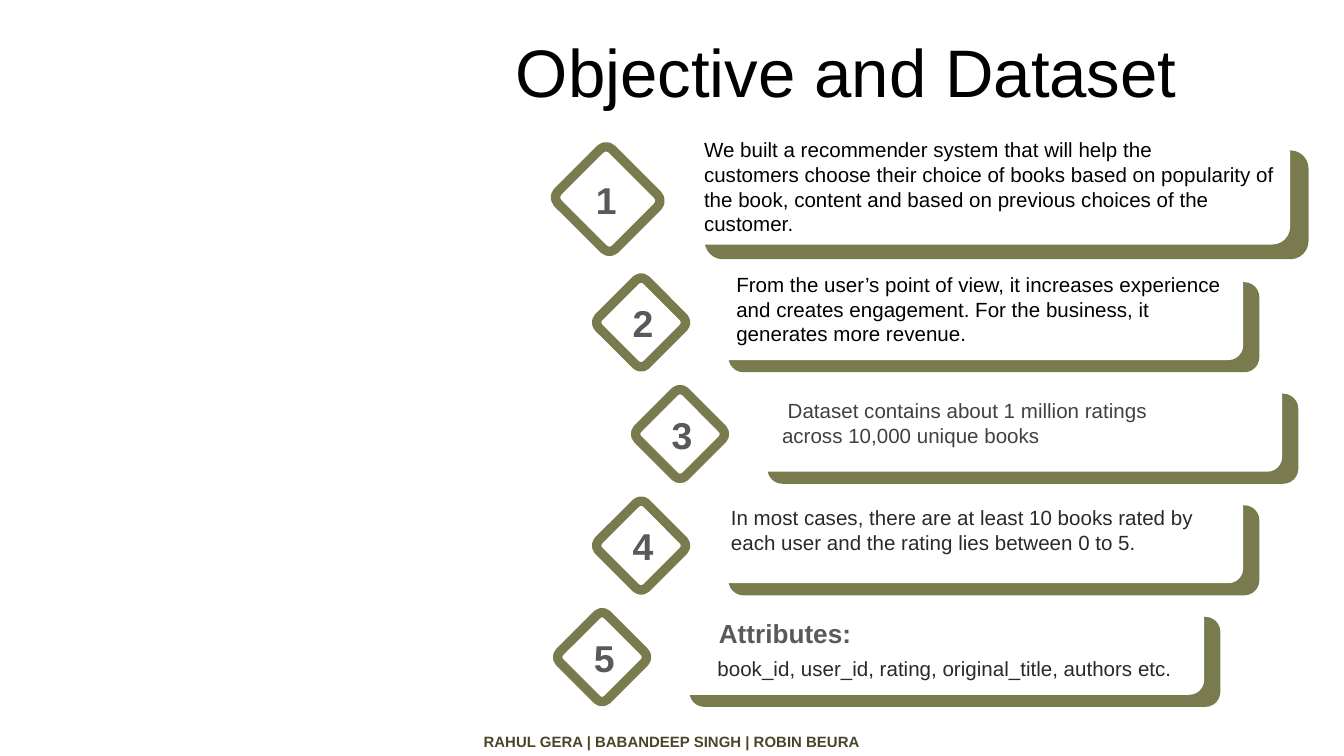
from lxml import etree
from pptx import Presentation
from pptx.dml.color import RGBColor
from pptx.enum import shapes, text
from pptx.oxml import ns
from pptx.util import Inches, Pt

OLIVE = RGBColor(0x79, 0x7B, 0x4F)
WHITE = RGBColor(0xFF, 0xFF, 0xFF)
CARD_EDGE = RGBColor(0xE9, 0xEA, 0xE4)
BLACK = RGBColor(0x00, 0x00, 0x00)
GRAY = RGBColor(0x59, 0x59, 0x59)
DARK_GRAY = RGBColor(0x40, 0x40, 0x40)
CHARCOAL = RGBColor(0x29, 0x29, 0x29)
BROWN = RGBColor(0x4A, 0x45, 0x2A)

LEFT, CENTER = text.PP_ALIGN.LEFT, text.PP_ALIGN.CENTER
MIDDLE, TOP = text.MSO_ANCHOR.MIDDLE, text.MSO_ANCHOR.TOP
FIT, FIXED = text.MSO_AUTO_SIZE.SHAPE_TO_FIT_TEXT, text.MSO_AUTO_SIZE.NONE

# Standard row size; larger rows scale from it
ROW_WIDTH, ROW_HEIGHT = 4.73, 0.67
ROW_PITCH, ROW_STEP = 0.83, 0.29


def add_text(slide, box, lines, size, color, bold=False, align=LEFT,
             anchor=MIDDLE, auto_size=FIT):
    shape = slide.shapes.add_textbox(*map(Inches, box))
    frame = shape.text_frame
    frame_format = {"word_wrap": True, "auto_size": auto_size,
                    "vertical_anchor": anchor}
    for name, value in frame_format.items():
        setattr(frame, name, value)
    font_format = {"name": "Arial", "size": Pt(size), "bold": bold}
    for index, line in enumerate(lines):
        paragraph = frame.add_paragraph() if index else frame.paragraphs[0]
        paragraph.alignment = align
        run = paragraph.add_run()
        run.text = line
        for name, value in font_format.items():
            setattr(run.font, name, value)
        run.font.color.rgb = color


def add_rounded(slide, box, fill, line=None, line_width=0):
    shape = slide.shapes.add_shape(shapes.MSO_SHAPE.ROUNDED_RECTANGLE,
                                   *map(Inches, box))
    shape.shadow.inherit = False
    shape.fill.solid()
    shape.fill.fore_color.rgb = fill
    if line is None:
        shape.line.fill.background()
    else:
        shape.line.color.rgb = line
        shape.line.width = Pt(line_width)
    return shape


def make_line_clear(shape):
    color = shape.line._get_or_add_ln().find(".//" + ns.qn("a:srgbClr"))
    etree.SubElement(color, ns.qn("a:alpha"), val="0")


def add_row(slide, box, number, texts):
    """Numbered diamond beside a card; text boxes are offset from the row."""
    left, top, width, height = box
    scale_x, scale_y = width / ROW_WIDTH, height / ROW_HEIGHT

    # Card with its offset backing
    card_left, card_width = left + 0.78 * scale_x, 3.95 * scale_x
    add_rounded(slide, (card_left + 0.12 * scale_x, top + 0.09 * scale_y,
                        card_width, height), OLIVE)
    card = add_rounded(slide, (card_left, top, card_width, height),
                       WHITE, CARD_EDGE, 1.25)
    make_line_clear(card)

    # Card text
    for (dx, dy, text_width, text_height), lines, size, color, bold in texts:
        add_text(slide, (left + dx, top + dy, text_width, text_height),
                 lines, size, color, bold)

    # Diamond and number; the quarter-turned sides swap their scales
    diamond_width, diamond_height = 0.5 * scale_y, 0.5 * scale_x
    diamond_top = top + 0.39 * scale_y - diamond_height / 2
    diamond = add_rounded(slide, (left, diamond_top,
                                  diamond_width, diamond_height),
                          WHITE, OLIVE, 5)
    diamond.adjustments[0] = 0.107
    diamond.rotation = 45
    add_text(slide, (left + 0.09 * scale_x, top + 0.17 * scale_y,
                     0.33 * scale_x, 0.44 * scale_y),
             [str(number)], 20, GRAY, True, CENTER)


def add_rows(slide, left, top):
    rows = [
        [((0.92, -0.04, 4.57, 0.84),
          ["We built a recommender system that will help the",
           "customers choose their choice of books based on popularity of "
           "the book, content and based on previous choices of the customer."],
          11, BLACK, False)],
        [((0.86, -0.04, 3.89, 0.66),
          ["From the user’s point of view, it increases experience and "
           "creates engagement. For the business, it",
           "generates more revenue."], 11, BLACK, False)],
        [((0.91, 0.07, 3.31, 0.47),
          [" Dataset contains about 1 million ratings across 10,000 "
           "unique books"], 11, DARK_GRAY, False)],
        [((0.82, 0.04, 3.83, 0.47),
          ["In most cases, there are at least 10 books rated by",
           "each user and the rating lies between 0 to 5."],
          11, CHARCOAL, False)],
        [((1.02, 0.04, 3.31, 0.34), ["Attributes:"], 14, GRAY, True),
         ((1.01, 0.33, 3.7, 0.29),
          ["book_id, user_id, rating, original_title, authors etc."],
          11, CHARCOAL, False)],
    ]
    # The first row is larger; the others step out to row 3 and back
    add_row(slide, (left, top, 5.38, 0.81), 1, rows[0])
    for index, texts in enumerate(rows[1:]):
        row_left = left + 0.01 + ROW_STEP * (2 - abs(index - 1))
        add_row(slide, (row_left, top + 1 + ROW_PITCH * index,
                        ROW_WIDTH, ROW_HEIGHT), index + 2, texts)


def main():
    presentation = Presentation()
    # Widescreen, 16:9
    presentation.slide_width = Inches(10)
    presentation.slide_height = Inches(10 * 9 / 16)
    slide = presentation.slides.add_slide(presentation.slide_layouts[6])

    # Title
    add_text(slide, (3.74, 0.21, 6.26, 0.63), ["Objective and Dataset"],
             36, BLACK, auto_size=FIXED)
    # Numbered rows
    add_rows(slide, 4.22, 1.01)
    # Footer
    add_text(slide, (0, 5.4, 10, 0.24),
             ["RAHUL GERA | BABANDEEP SINGH | ROBIN BEURA"],
             8, BROWN, True, CENTER, TOP)

    presentation.save("out.pptx")


if __name__ == "__main__":
    main()
